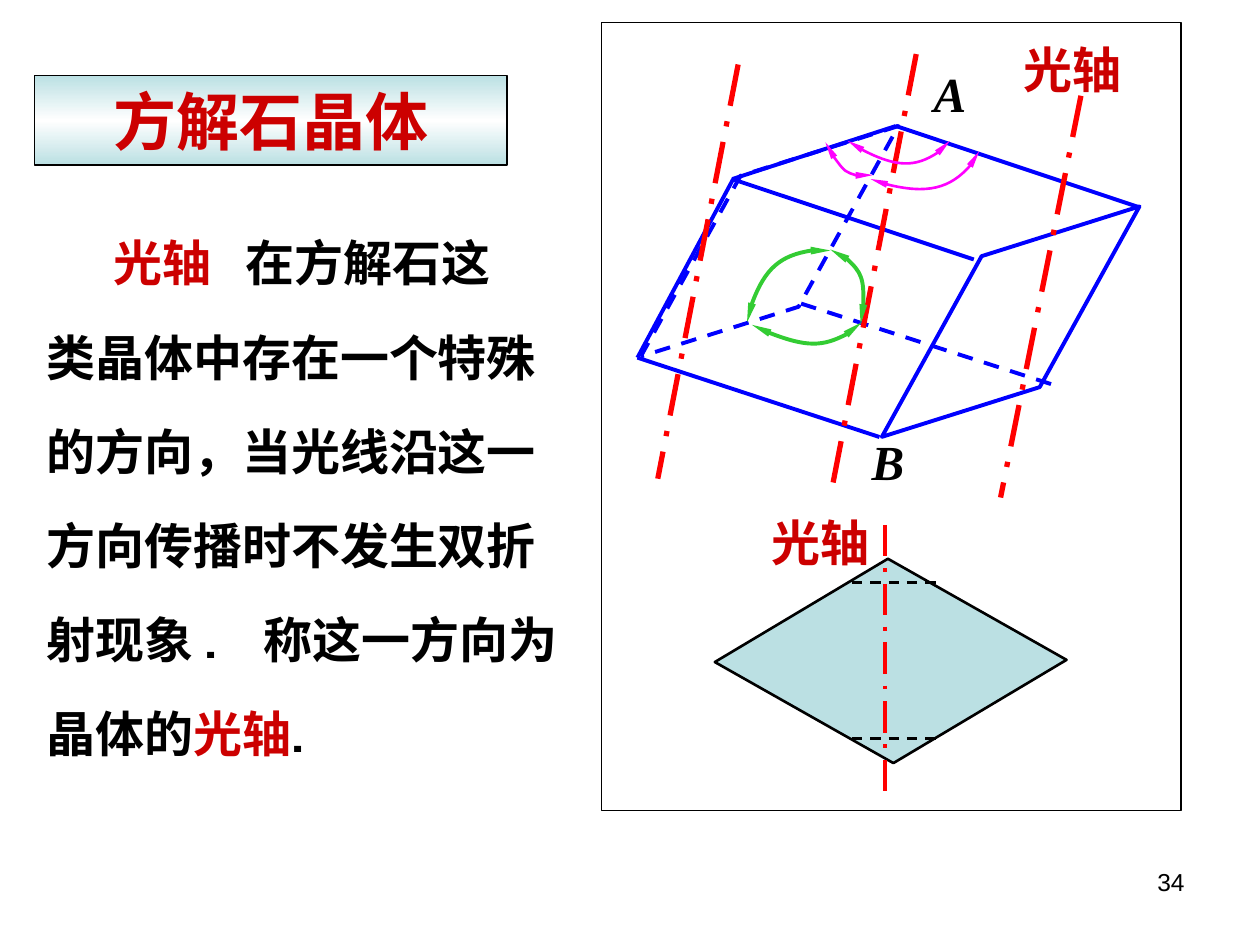
"""Build the slide on the optical axis of a calcite crystal."""
from copy import deepcopy
from dataclasses import dataclass

from pptx import Presentation
from pptx.dml.color import RGBColor as RGB
from pptx.enum.dml import MSO_LINE_DASH_STYLE as Dash
from pptx.enum.shapes import MSO_CONNECTOR as Link, MSO_SHAPE as Kind
from pptx.enum.text import MSO_ANCHOR as Anchor, PP_ALIGN as Align
from pptx.oxml.xmlchemy import OxmlElement as Element
from pptx.util import Cm, Pt


@dataclass(frozen=True)
class Theme:
    ink: RGB = RGB(0, 0, 0)
    term: RGB = RGB(0xCC, 0, 0)
    pale: RGB = RGB(0xBB, 0xE0, 0xE3)
    white: RGB = RGB(255, 255, 255)
    axis: RGB = RGB(255, 0, 0)
    edge: RGB = RGB(0, 0, 255)
    green: RGB = RGB(0x33, 0xCC, 0x33)
    magenta: RGB = RGB(255, 0, 255)
    title: Pt = Pt(36)
    text: Pt = Pt(28)
    page: Pt = Pt(14)
    serif: str = "Times New Roman"
    slab: str = "Roboto Slab"
    sans: str = "Arial"


theme = Theme()


def stroke(item, color, width, dash=None, arrows=False):
    item.line.color.rgb = color
    item.line.width = Pt(width)
    item.line.dash_style = dash
    properties = item._element.spPr
    if arrows:
        for end in ("a:headEnd", "a:tailEnd"):
            tip = Element(end)
            for key, value in {"type": "triangle", "w": "sm", "len": "lg"}.items():
                tip.set(key, value)
            properties.ln.append(tip)
    properties.append(Element("a:effectLst"))


def write(paragraph, words, color, formats):
    run = paragraph.add_run()
    run.text = words
    run.font.color.rgb = color
    for name, value in formats.items():
        setattr(run.font, name, value)
    return run


deck = Presentation()
deck.slide_width, deck.slide_height = Cm(25.4), Cm(19.05)
shapes = deck.slides.add_slide(deck.slide_layouts[6]).shapes
term_format = {"size": theme.text, "name": theme.serif, "bold": True}
letter_format = {**term_format, "italic": True}

banner = shapes.add_shape(Kind.RECTANGLE, Cm(0.69), Cm(1.52), Cm(9.53), Cm(1.81))
banner.fill.gradient()
banner.fill.gradient_angle = 90
start, end = banner.fill.gradient_stops
for stop, place in ((start, 0), (end, 1)):
    stop.color.rgb, stop.position = theme.pale, place
start._gs.addnext(deepcopy(start._gs))
middle = banner.fill.gradient_stops[1]
middle.color.rgb, middle.position = theme.white, 0.5
stroke(banner, theme.ink, 0.75)
banner.text_frame.vertical_anchor = Anchor.MIDDLE
heading = banner.text_frame.paragraphs[0]
heading.alignment = Align.CENTER
write(heading, "方解石晶体", theme.term, {**term_format, "size": theme.title})

definition = shapes.add_textbox(Cm(0.69), Cm(3.86), Cm(11), Cm(11.63)).text_frame
definition.word_wrap = True
PASSAGES = [
    (1.35, [("光轴", theme.term, 0), (" ", theme.term, 13.3), ("在方解石这", theme.ink, 0)]),
    (0, [("类晶体中存在一个特殊", theme.ink, 0)]),
    (0, [("的方向，当光线沿这一方向传播时不发生双折射现象 .", theme.ink, 0),
         (" ", theme.ink, 20), ("称这一方向为晶体的", theme.ink, 0),
         ("光轴", theme.term, 0), (".", theme.ink, 0)]),
]
for number, (indent, runs) in enumerate(PASSAGES):
    passage = definition.add_paragraph() if number else definition.paragraphs[0]
    layout = passage._p.get_or_add_pPr()
    layout.set("marL", "0")
    layout.set("indent", str(Cm(indent)))
    passage.line_spacing = 1.6
    for words, color, tracking in runs:
        run = write(passage, words, color, {**term_format, "name": theme.slab})
        if tracking:
            run._r.get_or_add_rPr().set("spc", str(round(tracking * 100)))

frame = shapes.add_shape(Kind.RECTANGLE, Cm(12.12), Cm(0.46), Cm(11.69), Cm(15.88))
frame.fill.background()
stroke(frame, theme.ink, 0.75)

FACES = [
    (14.88, 11.56, 6.15, 3.53, 29.5, 0.57, theme.pale, theme.ink, 1.5, None),
    (12.34, 3.43, 6.35, 2.87, 342.5, 1.05, None, theme.edge, 2.25, Dash.DASH),
    (17.2, 5.05, 6.35, 2.87, 342.5, 1.05, None, theme.edge, 2.25, None),
]
for left, top, width, height, turn, slant, fill, color, weight, dash in FACES:
    face = shapes.add_shape(Kind.PARALLELOGRAM, Cm(left), Cm(top), Cm(width), Cm(height))
    face.rotation = turn
    face.adjustments[0] = slant
    if fill:
        face.fill.solid()
        face.fill.fore_color.rgb = fill
    else:
        face.fill.background()
    stroke(face, color, weight, dash)

section_cut = (theme.ink, 1.5, Dash.DASH)
section_axis = (theme.axis, 2.25, Dash.LONG_DASH_DOT)
crystal_edge = (theme.edge, 2.25, None)
hidden_edge = (theme.edge, 2.25, Dash.DASH)
crystal_axis = (theme.axis, 3, Dash.LONG_DASH_DOT)
LINES = [
    (section_cut, 17.17, 11.74, 18.92, 11.74),
    (section_cut, 17.17, 14.89, 18.92, 14.89),
    (section_axis, 17.84, 10.58, 17.84, 16.08),
    (crystal_edge, 14.76, 3.61, 18.06, 2.54),
    (crystal_edge, 14.76, 3.61, 19.63, 5.23),
    (crystal_edge, 12.85, 7.21, 17.73, 8.81),
    (crystal_edge, 18.06, 2.54, 22.94, 4.17),
    (hidden_edge, 16.15, 6.12, 21.21, 7.75),
    (crystal_edge, 14.78, 3.61, 12.85, 7.21),
    (crystal_axis, 18.47, 1.09, 16.79, 9.75),
    (crystal_axis, 14.88, 1.3, 13.26, 9.65),
    (crystal_axis, 21.79, 1.93, 20.17, 10.03),
]
for look, *ends in LINES:
    stroke(shapes.add_connector(Link.STRAIGHT, *map(Cm, ends)), *look)

ANGLES = [
    (theme.green, 2.25, (17.37, 16.92, 16.03, 15.16), (6.5, 7.01, 7.01, 6.55)),
    (theme.magenta, 1.5, (19.74, 19.46, 18.49, 17.55), (3.05, 3.73, 3.99, 3.61)),
    (theme.magenta, 1.5, (19.15, 18.77, 17.88, 17.09), (2.84, 3.38, 3.4, 2.84)),
    (theme.magenta, 1.5, (17.6, 17.3, 16.87, 16.64), (3.53, 3.68, 3.38, 2.87)),
    (theme.green, 2.25, (16.74, 17.25, 17.53, 17.35), (5.03, 5.16, 5.82, 6.53)),
    (theme.green, 2.25, (15.06, 15.21, 15.98, 16.74), (6.5, 5.56, 4.93, 5.05)),
]
for color, weight, xs, ys in ANGLES:
    points = list(zip(map(Cm, xs), map(Cm, ys)))
    outline = shapes.build_freeform(*points[0])
    outline.add_line_segments(points[1:], close=False)
    arc = outline.convert_to_shape()
    segments = arc._element.xpath(".//a:lnTo")
    curve = Element("a:cubicBezTo")
    segments[0].addprevious(curve)
    for segment in segments:
        curve.append(segment[0])
        segment.getparent().remove(segment)
    arc.fill.background()
    stroke(arc, color, weight, arrows=True)

page_format = {"size": theme.page, "name": theme.sans}
LABELS = [
    ("光轴", 15.31, 10.2, 4.24, theme.term, term_format, Align.LEFT),
    ("A", 18.57, 1.15, 1.75, theme.ink, letter_format, Align.LEFT),
    ("B", 17.32, 8.57, 1.17, theme.ink, letter_format, Align.LEFT),
    ("光轴", 20.39, 0.68, 3.61, theme.term, term_format, Align.LEFT),
    ("34", 18.21, 17.35, 5.92, theme.ink, page_format, Align.RIGHT),
]
for words, left, top, width, color, formats, alignment in LABELS:
    label = shapes.add_textbox(Cm(left), Cm(top), Cm(width), Cm(1.45)).text_frame
    label.word_wrap = True
    label.paragraphs[0].alignment = alignment
    write(label.paragraphs[0], words, color, formats)

deck.save("out.pptx")
